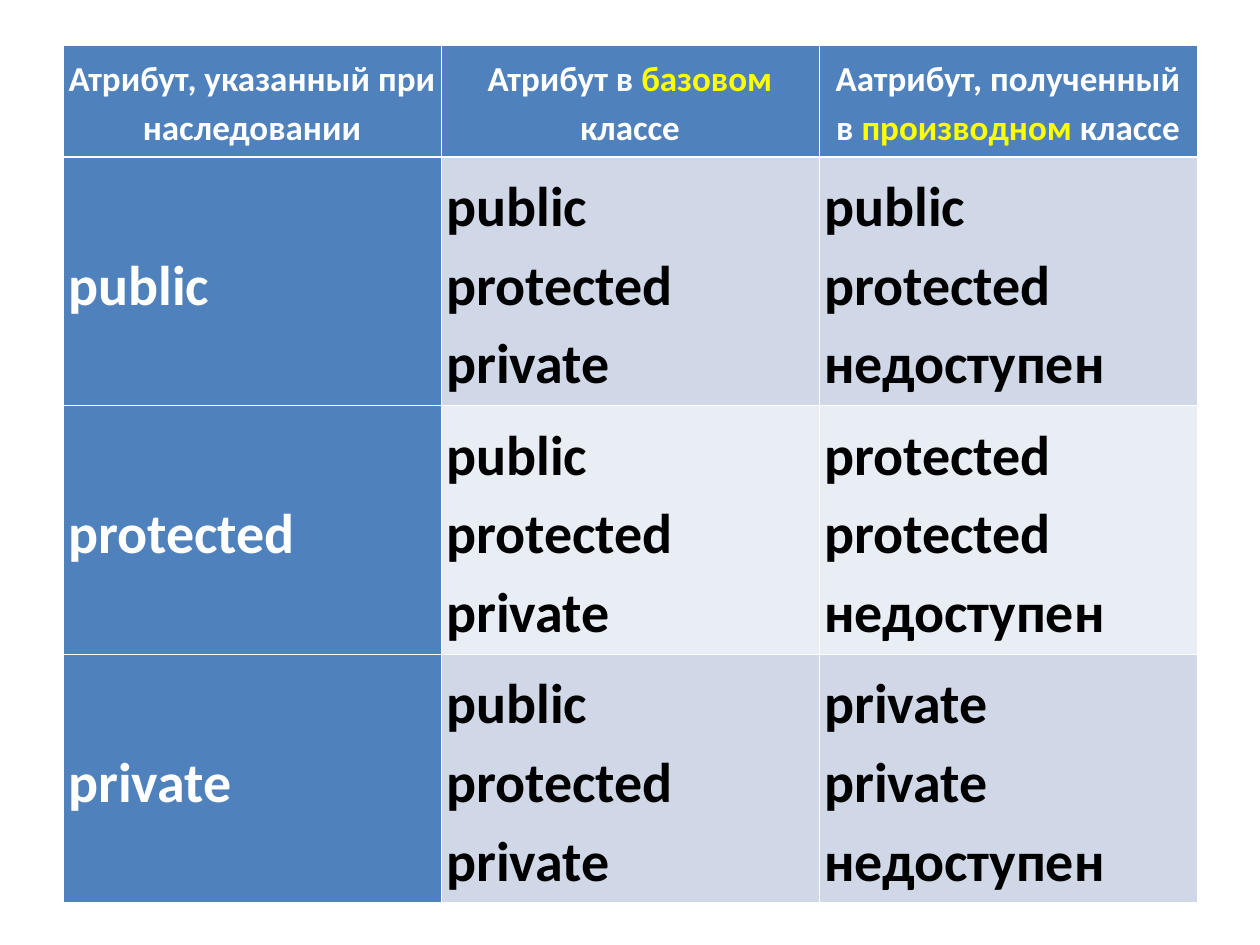
from lxml import etree
from pptx import Presentation
from pptx import util as u
from pptx.dml.color import RGBColor
from pptx.enum import text
from pptx.oxml import ns

COLORS = {"header": "4F81BD", "band": "D0D8E8", "light": "E9EDF4",
          "white": "FFFFFF", "black": "000000", "accent": "FFFF00"}
HEADERS = [
    [("Атрибут, указанный при наследовании", "white")],
    [("Атрибут в ", "white"), ("базовом ", "accent"), ("классе", "white")],
    [("Аатрибут, полученный в ", "white"), ("производном ", "accent"), ("классе", "white")],
]
BASE = ["public", "protected", "private"]
DERIVED = {
    "public": ["public", "protected", "недоступен"],
    "protected": ["protected", "protected", "недоступен"],
    "private": ["private", "private", "недоступен"],
}


class SlideBuilder:
    """Holds the table style and the current slide."""

    font = "Calibri"
    thin, thick = 0.45, 1.47

    def __init__(self, slide):
        self.slide = slide

    def table(self, left, top, widths, heights):
        frame = self.slide.shapes.add_table(
            len(heights), len(widths), u.Pt(left), u.Pt(top),
            u.Pt(sum(widths)), u.Pt(sum(heights)))
        for column, width in zip(frame.table.columns, widths):
            column.width = u.Pt(width)
        for row, height in zip(frame.table.rows, heights):
            row.height = u.Pt(height)
        return frame.table

    def borders(self, cell, top, bottom):
        properties = cell._tc.get_or_add_tcPr()
        sides = {"lnL": self.thin, "lnR": self.thin, "lnT": top, "lnB": bottom}
        for side, width in sides.items():
            line = etree.SubElement(properties, ns.qn(f"a:{side}"), w=str(u.Pt(width)))
            fill = etree.SubElement(line, ns.qn("a:solidFill"))
            etree.SubElement(fill, ns.qn("a:srgbClr"), val=COLORS["white"])

    def cell(self, cell, lines, size, fill, align=text.PP_ALIGN.LEFT, top=thin, bottom=thin):
        self.borders(cell, top, bottom)
        cell.fill.solid()
        cell.fill.fore_color.rgb = RGBColor.from_string(COLORS[fill])
        cell.vertical_anchor = text.MSO_ANCHOR.MIDDLE
        cell.margin_left = cell.margin_right = u.Pt(3)
        cell.margin_top = cell.margin_bottom = u.Pt(3.6)
        paragraph = cell.text_frame.paragraphs[0]
        paragraph.alignment = align
        paragraph.line_spacing = 1.15
        for index, runs in enumerate(lines):
            if index:
                paragraph.add_line_break()
            for words, color in runs:
                self.run(paragraph, words, size, color)

    def run(self, paragraph, words, size, color):
        run = paragraph.add_run()
        run.text = words
        run.font.name = self.font
        run.font.size = u.Pt(size)
        run.font.bold = True
        run.font.color.rgb = RGBColor.from_string(COLORS[color])


def main():
    presentation = Presentation()
    presentation.slide_width, presentation.slide_height = u.Pt(720), u.Pt(540)
    builder = SlideBuilder(presentation.slides.add_slide(presentation.slide_layouts[6]))
    table = builder.table(36, 26, [216] * 3, [61.2] + [138.2] * 3)
    for column, runs in enumerate(HEADERS):
        builder.cell(table.cell(0, column), [runs], 20, "header",
                     text.PP_ALIGN.CENTER, bottom=builder.thick)
    for row, (access, derived) in enumerate(DERIVED.items(), 1):
        band = "band" if row % 2 else "light"
        top = builder.thick if row == 1 else builder.thin
        builder.cell(table.cell(row, 0), [[(access, "white")]], 32, "header", top=top)
        for column, names in enumerate((BASE, derived), 1):
            lines = [[(name, "black")] for name in names]
            builder.cell(table.cell(row, column), lines, 32, band, top=top)
    presentation.save("out.pptx")


if __name__ == "__main__":
    main()
